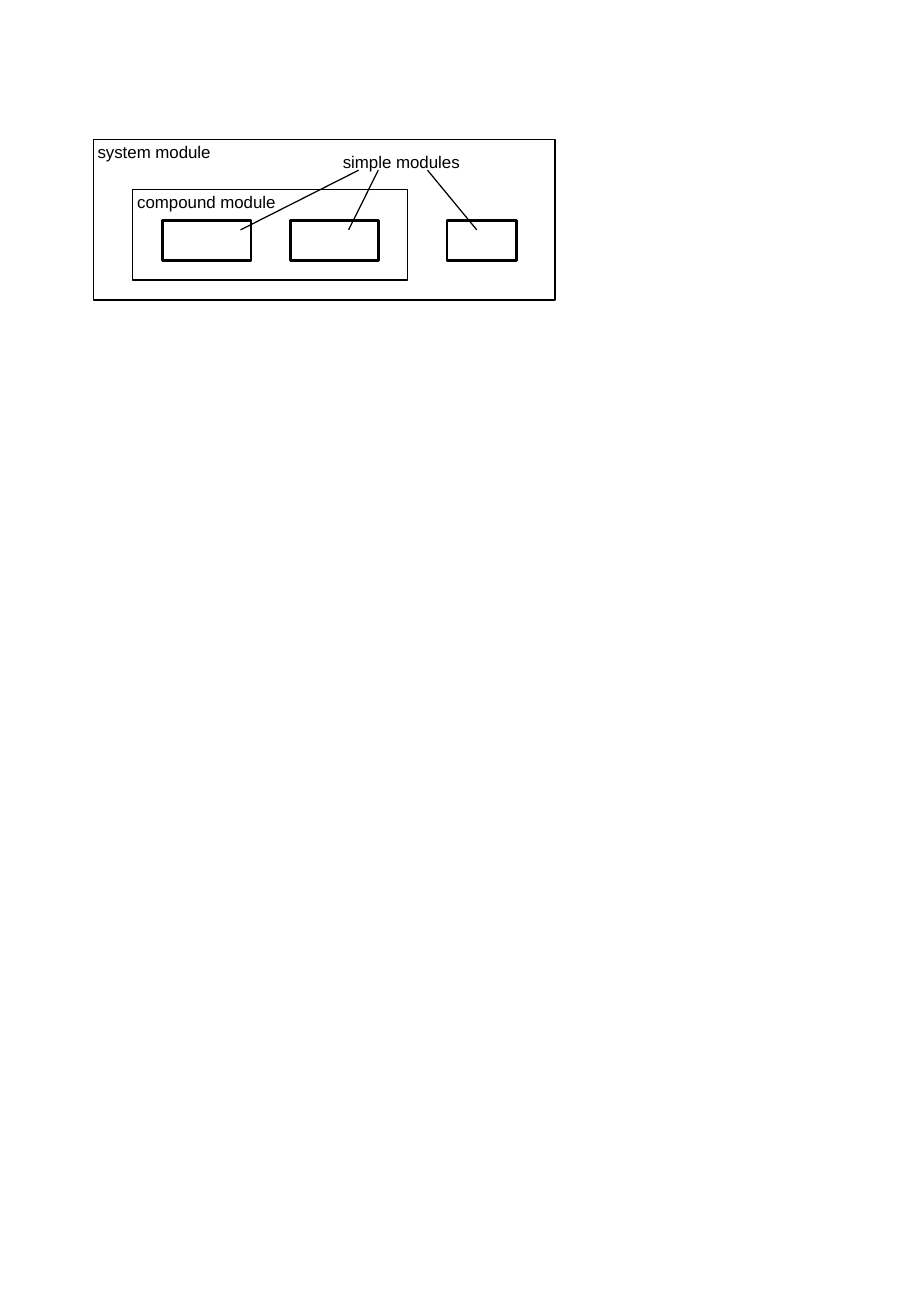
from lxml import etree
from pptx import Presentation
from pptx.dml.color import RGBColor
from pptx.enum.shapes import MSO_CONNECTOR, MSO_SHAPE
from pptx.enum.text import MSO_AUTO_SIZE
from pptx.oxml.ns import qn
from pptx.util import Cm, Pt

RECT = MSO_SHAPE.RECTANGLE
LINE = MSO_CONNECTOR.STRAIGHT
NO_FIT = MSO_AUTO_SIZE.NONE
COLORS = {"ink": "000000"}
INK = RGBColor.from_string(COLORS["ink"])
THIN, THICK = 0.75, 1.62

deck = Presentation()
deck.slide_width, deck.slide_height = Cm(19.05), Cm(27.53)
slide = deck.slides.add_slide(deck.slide_layouts[6])
shapes = slide.shapes

# Module frames: left, top, width, height, line width
frames = [
    (3.4, 4.61, 1.85, 0.84, THICK),
    (6.07, 4.61, 1.85, 0.84, THICK),
    (2.77, 3.97, 5.76, 1.89, THIN),
    (9.35, 4.61, 1.45, 0.84, THICK),
    (1.96, 2.92, 9.65, 3.36, THIN),
]
for left, top, width, height, weight in frames:
    frame = shapes.add_shape(RECT, Cm(left), Cm(top), Cm(width), Cm(height))
    frame.shadow.inherit = False
    frame.fill.background()
    frame.line.color.rgb = INK
    frame.line.width = Pt(weight)

# Labels: text, left, top, width
labels = [
    ("simple modules", 7.17, 3.18, 2.55),
    ("compound module", 2.87, 4.01, 3.0),
    ("system module", 2.04, 2.97, 2.5),
]
for text, left, top, width in labels:
    label = shapes.add_textbox(Cm(left), Cm(top), Cm(width), Cm(0.43))
    body = label.text_frame
    body.margin_left = body.margin_right = 0
    body.margin_top = body.margin_bottom = 0
    body.word_wrap = True
    body.auto_size = NO_FIT
    body.text = text
    font = body.paragraphs[0].runs[0].font
    font.name, font.size = "Arial", Pt(10)
    font.color.rgb = INK

# Pointers run from the "simple modules" label down into each simple module
label_y, module_y = 3.56, 4.81
for start, end in [(7.5, 5.03), (7.91, 7.29), (8.94, 9.97)]:
    pointer = shapes.add_connector(
        LINE, Cm(start), Cm(label_y), Cm(end), Cm(module_y))
    pointer.line.color.rgb = INK
    pointer.line.width = Pt(THIN)
    etree.SubElement(pointer._element.spPr, qn("a:effectLst"))

deck.save("out.pptx")
